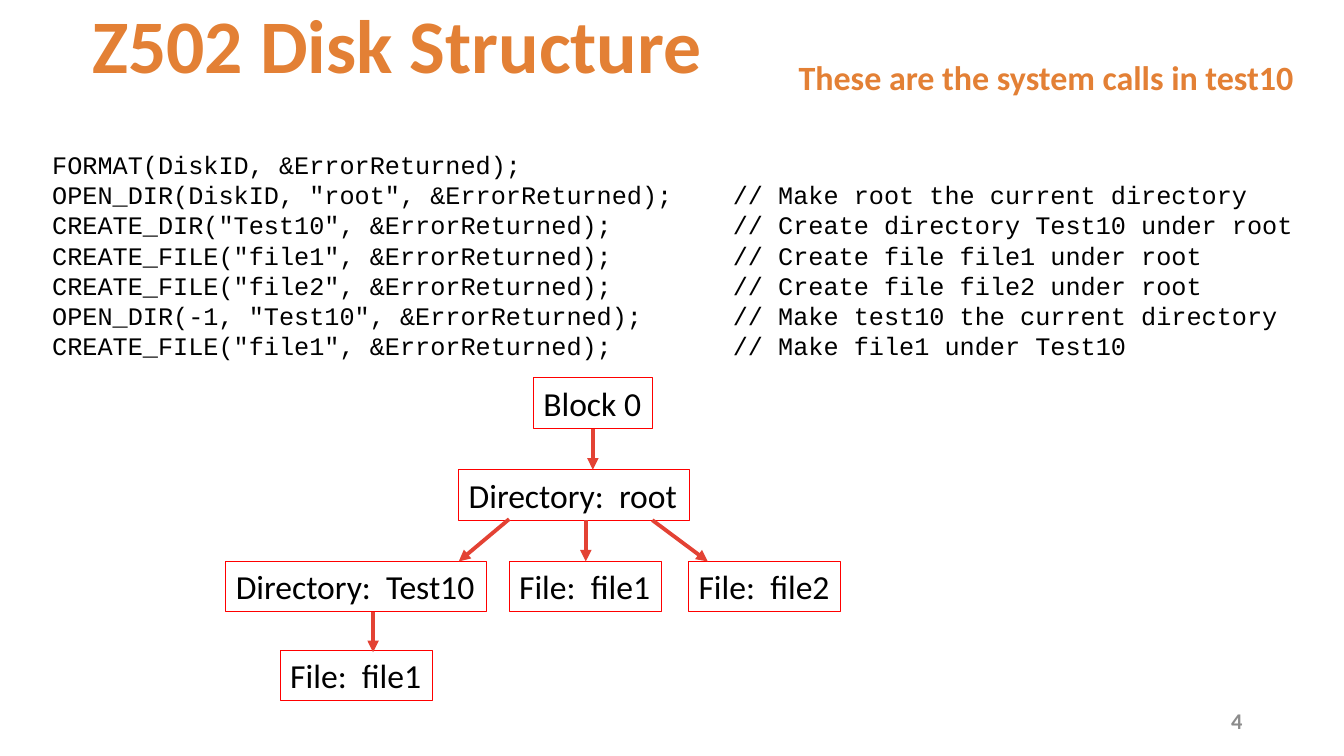
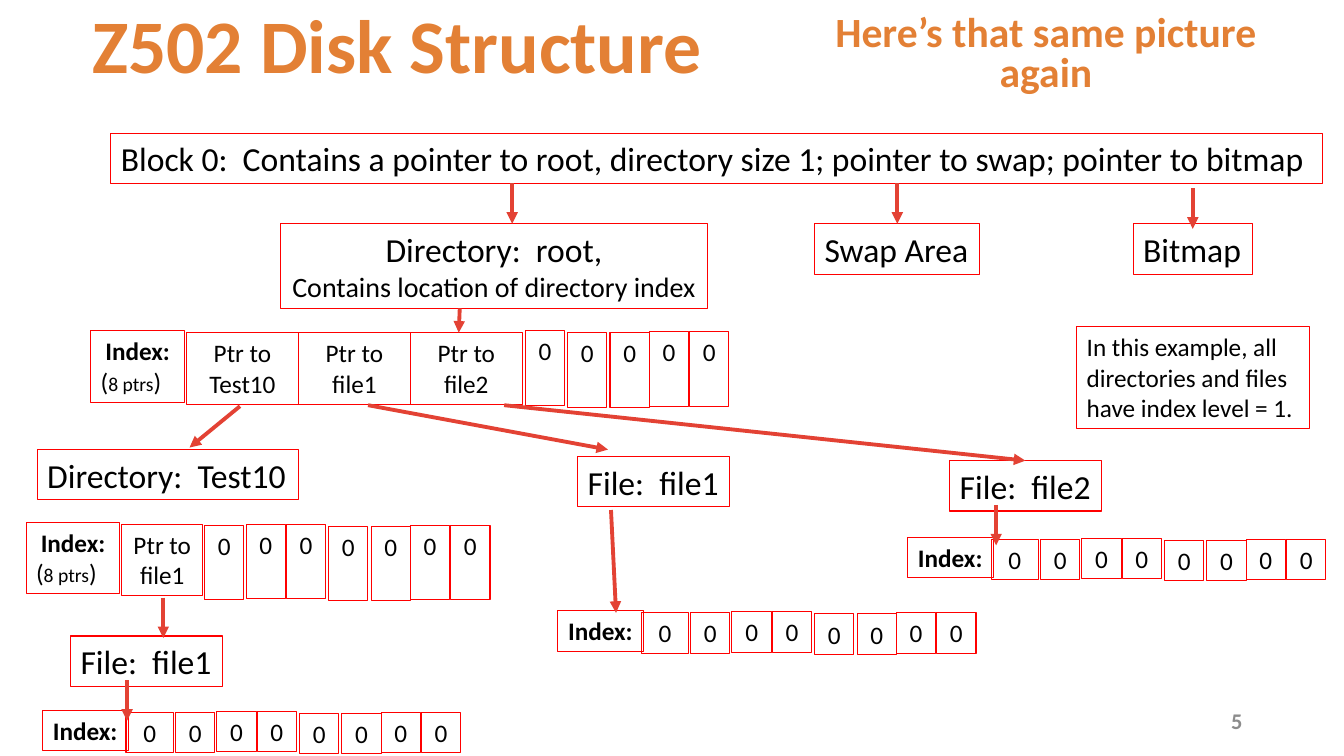
from dataclasses import dataclass

from lxml.etree import SubElement
from pptx import Presentation
from pptx.dml.color import RGBColor
from pptx.enum.shapes import MSO_CONNECTOR as Link, MSO_SHAPE as Preset
from pptx.enum.text import MSO_ANCHOR as Anchor, MSO_AUTO_SIZE as Fit, PP_ALIGN as Align
from pptx.oxml.ns import qn
from pptx.util import Inches, Pt


@dataclass(frozen=True)
class Theme:
    accent: RGBColor = RGBColor(0xE3, 0x80, 0x35)
    ink: RGBColor = RGBColor(0, 0, 0)
    muted: RGBColor = RGBColor(0x8C, 0x8C, 0x8C)
    border: RGBColor = RGBColor(0xFF, 0, 0)
    arrow: RGBColor = RGBColor(0xE3, 0x42, 0x34)
    body_font: str = "Calibri"
    code_font: str = "Courier New"
    title: float = 54
    node: float = 24
    detail: float = 20
    cell: float = 18
    number: float = 16
    small: float = 14
    border_width: float = 0.75
    arrow_width: float = 2.75


class Deck:
    """Draws disk structure slides in one shared style."""

    node_height = 0.5
    zero_steps = [(0, 0), (0.41, -0.01), (0.81, -0.01), (1.23, 0.01),
                  (1.65, 0.01), (2.04, 0), (2.44, 0)]

    def __init__(self, theme):
        self.theme = theme
        self.show = Presentation()
        self.show.slide_width, self.show.slide_height = Inches(13.33), Inches(7.5)
        self.slide = None

    def style(self, paragraph, size, color=None, bold=False, align=Align.LEFT, font=None):
        paragraph.alignment = align
        paragraph.font.name = font or self.theme.body_font
        paragraph.font.size = Pt(size)
        paragraph.font.bold = bold
        paragraph.font.color.rgb = color or self.theme.ink

    def start(self, title, number, remark, remark_size, remark_spacing):
        theme = self.theme
        self.slide = self.show.slides.add_slide(self.show.slide_layouts[5])
        heading = self.slide.shapes.title
        heading.left, heading.top, heading.width, heading.height = map(Inches, (0.64, 0.02, 6.6, 0.92))
        self.fill_banner(heading, title, theme.title, 0.9)
        self.fill_banner(self.text_area(7.73, 0.29, 5.29, 0.71), remark, remark_size, remark_spacing)
        page = self.text_area(9.42, 6.95, 3, 0.4).text_frame
        page.vertical_anchor = Anchor.MIDDLE
        page.text = str(number)
        self.style(page.paragraphs[0], theme.number, theme.muted, True, Align.RIGHT)

    def fill_banner(self, area, text, size, spacing):
        frame = area.text_frame
        frame.auto_size, frame.vertical_anchor = Fit.NONE, Anchor.BOTTOM
        frame.text = text
        self.style(frame.paragraphs[0], size, self.theme.accent, True, Align.CENTER)
        frame.paragraphs[0].line_spacing = spacing

    def text_area(self, left, top, width, height):
        area = self.slide.shapes.add_textbox(*map(Inches, (left, top, width, height)))
        area.text_frame.word_wrap = True
        return area

    def code(self, left, top, width, height, calls, comment_at):
        frame = self.text_area(left, top, width, height).text_frame
        frame.text = "\n".join("\t".join(call) for call in calls)
        for paragraph in frame.paragraphs:
            self.style(paragraph, self.theme.cell, font=self.theme.code_font)
            properties = paragraph._p.get_or_add_pPr()
            tabs = SubElement(properties, qn("a:tabLst"))
            SubElement(tabs, qn("a:tab"), pos=str(Inches(comment_at)), algn="l")
            properties.insert(0, tabs)

    def box(self, left, top, width, height, lines, size, bold=False, align=Align.CENTER, wrap=True):
        shape = self.slide.shapes.add_shape(Preset.RECTANGLE, *map(Inches, (left, top, width, height)))
        shape.shadow.inherit = False
        shape.fill.background()
        shape.line.color.rgb = self.theme.border
        shape.line.width = Pt(self.theme.border_width)
        frame = shape.text_frame
        frame.word_wrap = wrap
        frame.auto_size = Fit.NONE if wrap else Fit.SHAPE_TO_FIT_TEXT
        frame.vertical_anchor = Anchor.TOP
        frame.text = lines
        for paragraph in frame.paragraphs:
            self.style(paragraph, size, bold=bold, align=align)
        return frame

    def node(self, left, top, width, text, wrap=False):
        self.box(left, top, width, self.node_height, text, self.theme.node, align=Align.LEFT, wrap=wrap)

    def cell(self, left, top, width, height, text):
        self.box(left, top, width, height, text, self.theme.cell)

    def zeros(self, left, top, height, first=0):
        for across, down in self.zero_steps[first:]:
            self.cell(left + across, top + down, 0.39, height, "0")

    def pointer_label(self, left, top):
        frame = self.box(left, top, 0.93, 0.71, "Index:", self.theme.cell, True, wrap=False)
        count = frame.add_paragraph()
        self.style(count, self.theme.cell)
        for part, size in (("(", self.theme.cell), ("8 ptrs", self.theme.small), (")", self.theme.cell)):
            run = count.add_run()
            run.text, run.font.size = part, Pt(size)

    def empty_index(self, left, top):
        self.box(left, top, 0.85, 0.4, "Index:", self.theme.cell, True, wrap=False)
        self.cell(left + 0.83, top + 0.02, 0.47, 0.4, "0")
        self.zeros(left + 1.32, top + 0.02, 0.4)

    def arrow(self, *ends):
        link = self.slide.shapes.add_connector(Link.STRAIGHT, *map(Inches, ends))
        link.line.color.rgb = self.theme.arrow
        link.line.width = Pt(self.theme.arrow_width)
        SubElement(link.line._get_or_add_ln(), qn("a:tailEnd"), type="triangle")
        SubElement(link._element.spPr, qn("a:effectLst"))


def system_calls(deck):
    deck.start("Z502 Disk Structure", 4, "These are the system calls in test10", 24.3, 0.7)
    deck.code(0.42, 1.43, 12.66, 2.22, [
        ("FORMAT(DiskID, &ErrorReturned);",),
        ('OPEN_DIR(DiskID, "root", &ErrorReturned);', "// Make root the current directory"),
        ('CREATE_DIR("Test10", &ErrorReturned);', "// Create directory Test10 under root"),
        ('CREATE_FILE("file1", &ErrorReturned);', "// Create file file1 under root"),
        ('CREATE_FILE("file2", &ErrorReturned);', "// Create file file2 under root"),
        ('OPEN_DIR(-1, "Test10", &ErrorReturned);', "// Make test10 the current directory"),
        ('CREATE_FILE("file1", &ErrorReturned);', "// Make file1 under Test10"),
    ], comment_at=6.75)
    for node in [
        (5.29, 3.75, 1.18, "Block 0"),
        (4.55, 4.66, 2.29, "Directory:  root"),
        (2.24, 5.57, 2.59, "Directory:  Test10"),
        (5.05, 5.57, 1.51, "File:  file1"),
        (6.83, 5.57, 1.51, "File:  file2"),
        (2.78, 6.45, 1.51, "File:  file1"),
    ]:
        deck.node(*node)
    for ends in [
        (5.88, 4.26, 5.88, 4.66), (5.81, 5.16, 5.81, 5.57), (5.05, 5.15, 4.55, 5.57),
        (6.47, 5.16, 7.02, 5.57), (3.7, 6.07, 3.7, 6.47),
    ]:
        deck.arrow(*ends)


def disk_blocks(deck):
    theme = deck.theme
    deck.start("Z502 Disk Structure", 5, "Here’s that same picture again", 29.7, 0.8)
    deck.node(1.1, 1.32, 12.02, "Block 0:  Contains a pointer to root, directory size 1; "
              "pointer to swap; pointer to bitmap", wrap=True)
    root = deck.box(2.78, 2.22, 4.24, 0.84,
                    "Directory:  root,\nContains location of directory index", theme.node)
    root.paragraphs[1].font.size = Pt(theme.detail)
    for node in [
        (8.08, 2.22, 1.64, "Swap Area"),
        (11.24, 2.22, 1.18, "Bitmap"),
        (0.37, 4.46, 2.59, "Directory:  Test10"),
        (5.73, 4.53, 1.51, "File:  file1"),
        (9.42, 4.57, 1.51, "File:  file2"),
        (0.7, 6.31, 1.51, "File:  file1"),
    ]:
        deck.node(*node)
    deck.box(10.68, 3.24, 2.31, 1.01, "In this example, all directories and files have index level = 1.",
             theme.cell, align=Align.LEFT)

    deck.pointer_label(0.9, 3.28)
    for column, target in enumerate(("Test10", "file1", "file2")):
        deck.cell(1.85 + 1.11 * column, 3.3, 1.11, 0.71, f"Ptr to {target}")
    deck.zeros(4.4, 3.29, 0.74, first=2)

    deck.pointer_label(0.26, 5.18)
    deck.cell(1.21, 5.2, 0.8, 0.71, "Ptr to file1")
    deck.zeros(2.03, 5.21, 0.74)

    for corner in [(5.53, 6.06), (0.42, 7.05), (9, 5.33)]:
        deck.empty_index(*corner)
    for ends in [
        (5.08, 1.82, 5.08, 2.22), (8.9, 1.82, 8.9, 2.22), (11.83, 1.87, 11.83, 2.27),
        (4.56, 3.06, 4.55, 3.3), (2.38, 4.03, 1.88, 4.44), (3.65, 4.02, 6.03, 4.46),
        (5, 4.02, 10.17, 4.57), (1.62, 5.93, 1.62, 6.33), (1.26, 6.75, 1.26, 7.15),
        (6.06, 5.06, 6.11, 6.08), (9.88, 5.01, 9.88, 5.41),
    ]:
        deck.arrow(*ends)


def main():
    deck = Deck(Theme())
    system_calls(deck)
    disk_blocks(deck)
    deck.show.save("out.pptx")


if __name__ == "__main__":
    main()
